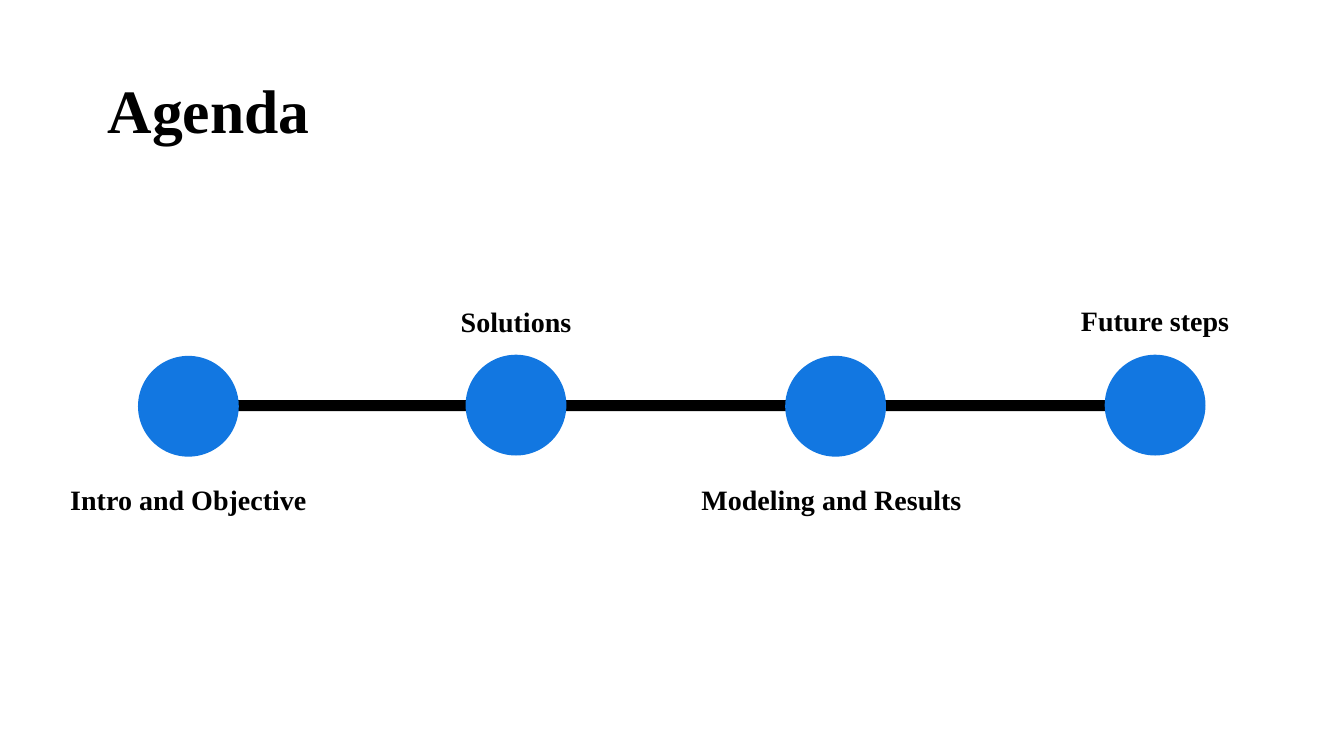
from pptx import Presentation
from pptx.dml.color import RGBColor
from pptx.enum.shapes import MSO_SHAPE as Shape
from pptx.enum.text import MSO_ANCHOR as Anchor, MSO_AUTO_SIZE as AutoSize, PP_ALIGN as Align
from pptx.util import Pt

BLACK = "000000"
BLUE = "1277E1"
DIAMETER = 72
MILESTONES = [
    ("Intro and Objective", 134.6, 254.2, 186.5, 341.3, Align.CENTER),
    ("Solutions", 368.6, 253.4, 209.5, 213.8, Align.CENTER),
    ("Modeling and Results", 596.9, 254.2, 205.9, 341.3, Align.LEFT),
    ("Future steps", 825.1, 253.4, 203, 213.1, Align.CENTER),
]


def color(value):
    return RGBColor.from_string(value)


def apply_format(target, values):
    for name, value in values.items():
        setattr(target, name, value)


class AgendaSlide:
    """Draws the agenda timeline in one shared style."""

    font = {"name": "Times New Roman", "bold": True}

    def __init__(self, presentation):
        self.slide = presentation.slides.add_slide(presentation.slide_layouts[6])

    def add_solid(self, kind, left, top, width, height, fill):
        shape = self.slide.shapes.add_shape(kind, Pt(left), Pt(top), Pt(width), Pt(height))
        shape.shadow.inherit = False
        shape.fill.solid()
        shape.fill.fore_color.rgb = color(fill)
        shape.line.fill.background()

    def add_text(self, text, left, top, width, height, size, frame_format, paragraph_format):
        shape = self.slide.shapes.add_textbox(Pt(left), Pt(top), Pt(width), Pt(height))
        apply_format(shape.text_frame, {"word_wrap": True, **frame_format})
        paragraph = shape.text_frame.paragraphs[0]
        apply_format(paragraph, paragraph_format)
        run = paragraph.add_run()
        run.text = text
        apply_format(run.font, {**self.font, "size": Pt(size)})
        run.font.color.rgb = color(BLACK)


def main():
    presentation = Presentation()
    apply_format(presentation, {"slide_width": Pt(960), "slide_height": Pt(540)})
    agenda = AgendaSlide(presentation)

    agenda.add_solid(Shape.RECTANGLE, 105.8, 285.8, 748.1, 7.9, BLACK)
    for _, center, top, *_ in MILESTONES:
        agenda.add_solid(Shape.OVAL, center - DIAMETER / 2, top, DIAMETER, DIAMETER, BLUE)
    for label, center, _, width, label_top, alignment in MILESTONES:
        agenda.add_text(label, center - width / 2, label_top, width, 31.7, 20,
                        {"auto_size": AutoSize.SHAPE_TO_FIT_TEXT}, {"alignment": alignment})
    agenda.add_text("Agenda", 69.8, 28.8, 828, 104.4, 44,
                    {"vertical_anchor": Anchor.MIDDLE}, {"line_spacing": 0.9})

    presentation.save("out.pptx")


if __name__ == "__main__":
    main()
